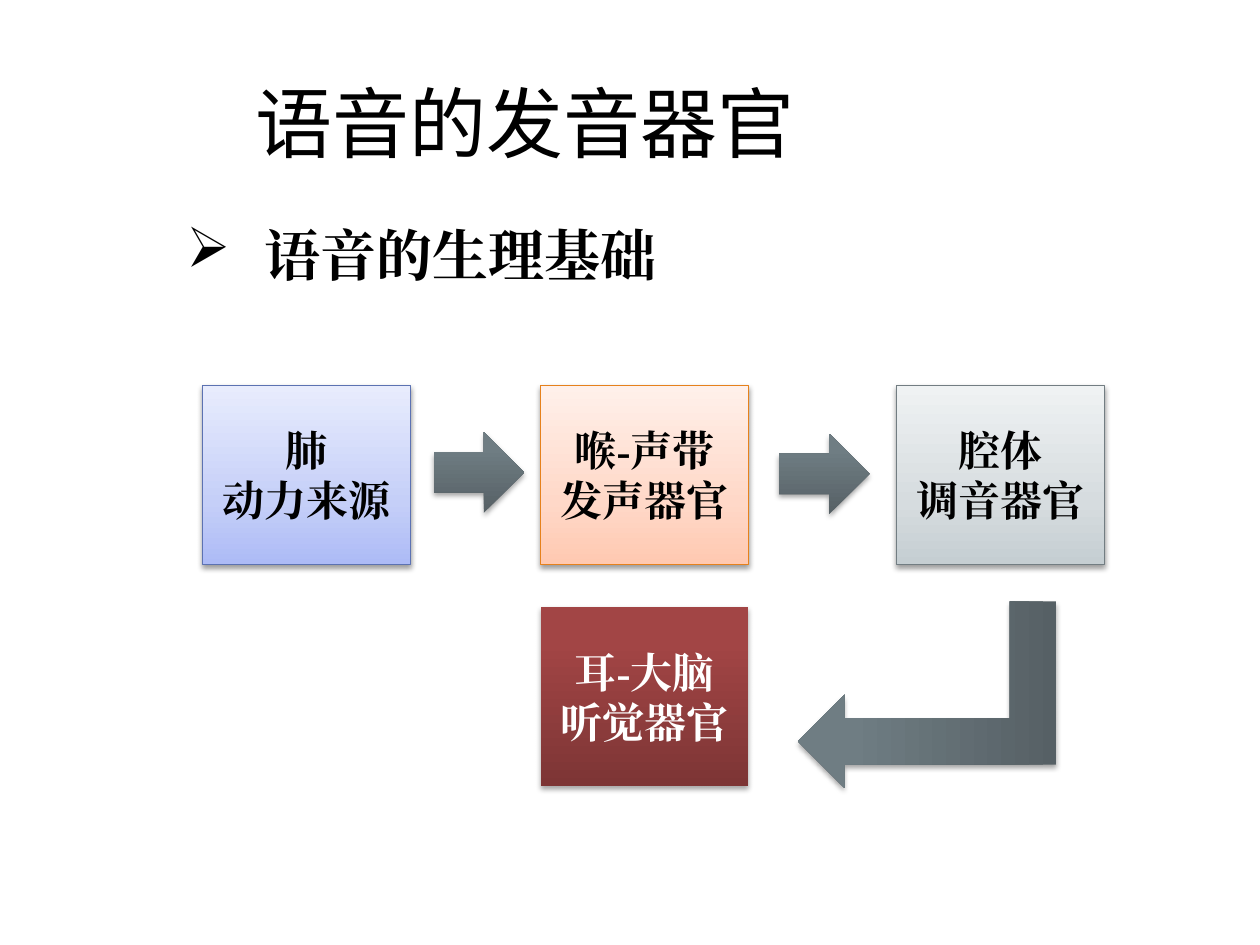
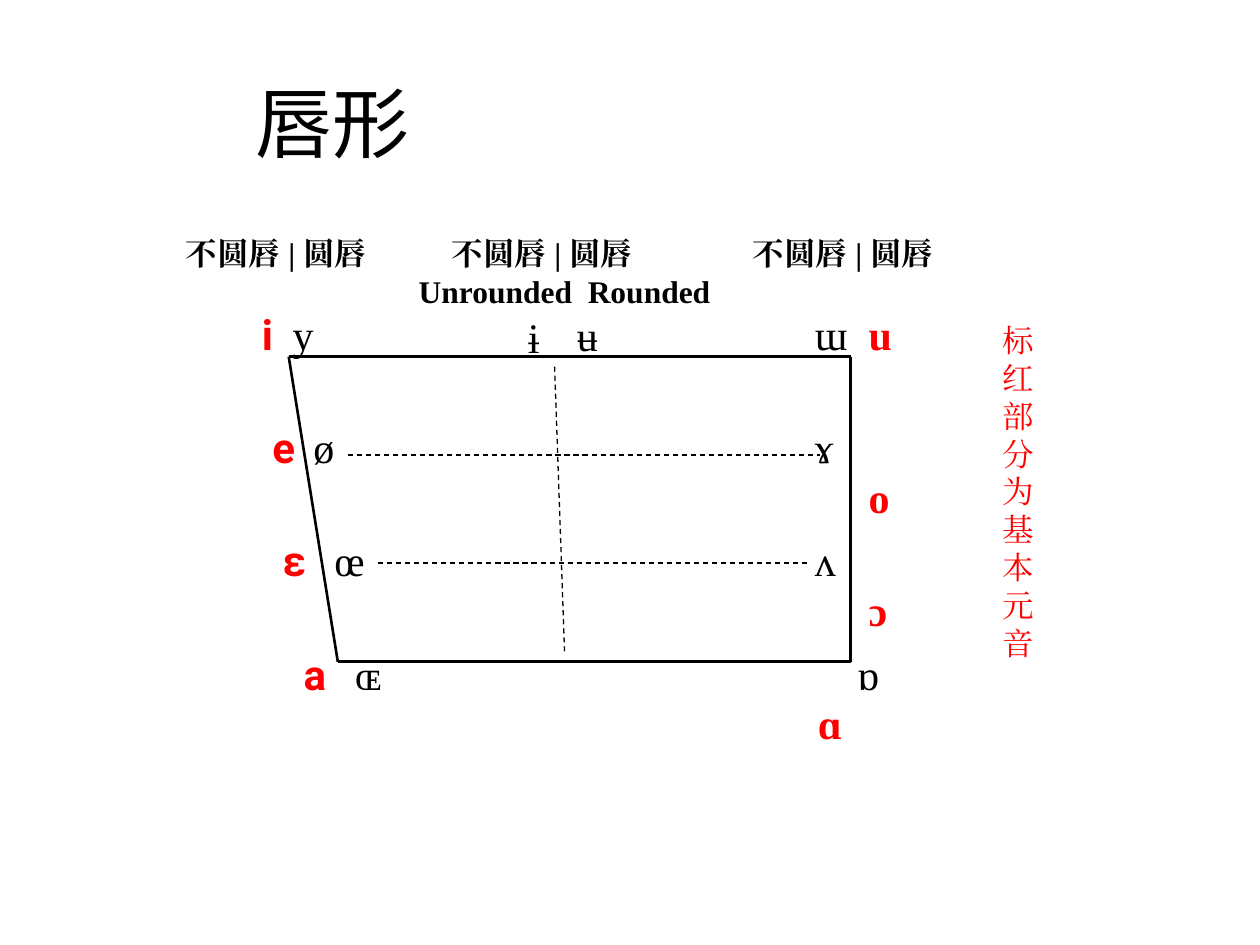
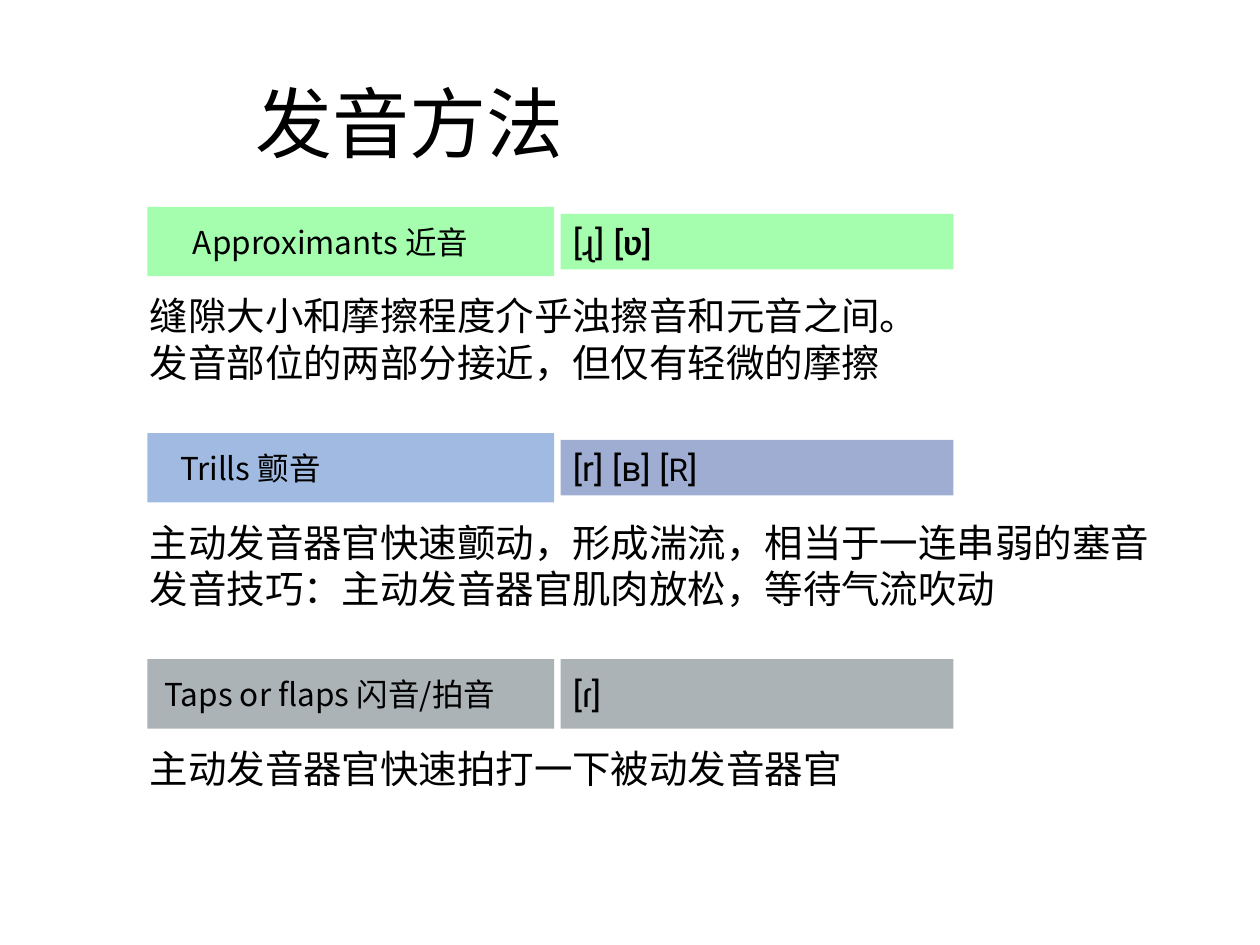
import pptx
import pptx.dml.color
import pptx.enum.dml
import pptx.enum.lang
import pptx.enum.shapes
import pptx.enum.text
import pptx.oxml
import pptx.oxml.ns
import pptx.util
from lxml import etree

Cm = pptx.util.Cm
Pt = pptx.util.Pt
Shape = pptx.enum.shapes.MSO_SHAPE
Anchor = pptx.enum.text.MSO_ANCHOR
Align = pptx.enum.text.PP_ALIGN

SERIF, SANS, CHINESE, BOLD_IPA = "Times New Roman", "Roboto", "Noto Sans CJK SC", "Lato"
BLACK, WHITE, RED = "000000", "FFFFFF", "FF0000"
BLUE_FADE = [(0, "ADBBF6"), (35, "C5CFF8"), (100, "E8ECFD")]
ORANGE_FADE = [(0, "FFC9B1"), (35, "FFD8C8"), (100, "FFF0EA")]
GREY_FADE = [(0, "C5CED2"), (35, "D6DCDF"), (100, "EFF2F3")]
RED_FADE = [(0, "7D3535"), (80, "A24545"), (100, "A44343")]
ARROW_FADE = [(0, "566065"), (80, "6F7D83"), (100, "6F7E84")]


def color(hex_value):
    return pptx.dml.color.RGBColor.from_string(hex_value)


def drawing_xml(xml):
    namespace = pptx.oxml.ns.nsdecls("a")
    return pptx.oxml.parse_xml(xml.replace(">", f" {namespace}>", 1))


def format_run(run, size, font, fill, bold):
    run.font.size = Pt(size)
    run.font.name = font
    run.font.bold = bold
    run.font.color.rgb = color(fill)
    run.font.language_id = pptx.enum.lang.MSO_LANGUAGE_ID.SIMPLIFIED_CHINESE
    east_asian = etree.SubElement(run.font._element, pptx.oxml.ns.qn("a:ea"))
    east_asian.set("typeface", font)


def write_text(shape, paragraphs, size=18, font=SERIF, fill=BLACK, bold=False,
               align=Align.LEFT, anchor=Anchor.TOP, spacing=None, bullet=None):
    frame = shape.text_frame
    frame.word_wrap = True
    frame.vertical_anchor = anchor
    for index, runs in enumerate(paragraphs):
        paragraph = frame.paragraphs[0] if index == 0 else frame.add_paragraph()
        paragraph.alignment = align
        if spacing:
            paragraph.line_spacing = Pt(spacing)
        if bullet:
            properties = paragraph._p.get_or_add_pPr()
            properties.set("marL", str(Cm(1.57)))
            properties.set("indent", str(-Cm(1.57)))
            properties.append(drawing_xml(f'<a:buChar char="{bullet}"></a:buChar>'))
        for part in [(runs, {})] if isinstance(runs, str) else runs:
            run = paragraph.add_run()
            run.text = part[0]
            base = {"size": size, "font": font, "fill": fill, "bold": bold}
            format_run(run, **{**base, **part[1]})


def add_text(slide, left, top, width, height, *paragraphs, **text_format):
    box = slide.shapes.add_textbox(Cm(left), Cm(top), Cm(width), Cm(height))
    write_text(box, paragraphs, **text_format)


def add_block(slide, kind, left, top, width, height, fill=None):
    shape = slide.shapes.add_shape(kind, Cm(left), Cm(top), Cm(width), Cm(height))
    shape.shadow.inherit = False
    shape.line.fill.background()
    if fill:
        shape.fill.solid()
        shape.fill.fore_color.rgb = color(fill)
    return shape


def add_faded_block(slide, kind, left, top, width, height, fade, outline=None):
    shape = add_block(slide, kind, left, top, width, height)
    stops = "".join(f'<a:gs pos="{position * 1000}"><a:srgbClr val="{value}"/></a:gs>'
                    for position, value in fade)
    gradient = drawing_xml(f'<a:gradFill rotWithShape="1"><a:gsLst>{stops}</a:gsLst>'
                           '<a:lin ang="16200000" scaled="0"/></a:gradFill>')
    properties = shape._element.spPr
    properties.find(pptx.oxml.ns.qn("a:prstGeom")).addnext(gradient)
    if outline:
        shape.line.color.rgb = color(outline)
        shape.line.width = Pt(0.75)
    alpha, distance = (38, 1.6) if outline else (35, 1.8)
    effects = properties.find(pptx.oxml.ns.qn("a:effectLst"))
    effects.append(drawing_xml(
        f'<a:outerShdw blurRad="{Pt(3.1)}" dist="{Pt(distance)}" dir="5400000" rotWithShape="0">'
        f'<a:srgbClr val="{BLACK}"><a:alpha val="{alpha * 1000}"/></a:srgbClr></a:outerShdw>'))
    return shape


def add_line(slide, start, end, dashed=False):
    line = slide.shapes.add_connector(pptx.enum.shapes.MSO_CONNECTOR.STRAIGHT,
                                      *map(Cm, start + end))
    line.line.color.rgb = color(BLACK)
    line.line.width = Pt(0.75 if dashed else 1.5)
    if dashed:
        line.line.dash_style = pptx.enum.dml.MSO_LINE.DASH
    line._element.spPr.append(drawing_xml("<a:effectLst></a:effectLst>"))


def add_slide(presentation, title):
    slide = presentation.slides.add_slide(presentation.slide_layouts[6])
    add_text(slide, 4.9, 1.12, 17.2, 2.39, title, size=44, font=CHINESE,
             anchor=Anchor.BOTTOM, spacing=58)
    return slide


def build_speech_organs(presentation):
    slide = add_slide(presentation, "语音的发音器官")
    add_text(slide, 3.51, 4.32, 19.81, 13, "语音的生理基础", size=32, bold=True, bullet="➢")
    organs = [
        (4.09, 7.77, BLUE_FADE, "5C72B2", BLACK, "肺", "动力来源"),
        (10.9, 7.77, ORANGE_FADE, "E6811C", BLACK, "喉-声带", "发声器官"),
        (18.08, 7.77, GREY_FADE, "727D82", BLACK, "腔体", "调音器官"),
        (10.9, 12.24, RED_FADE, None, WHITE, "耳-大脑", "听觉器官"),
    ]
    for left, top, fade, outline, text_fill, organ, role in organs:
        box = add_faded_block(slide, Shape.RECTANGLE, left, top, 4.19, 3.61, fade, outline)
        write_text(box, [organ, role], size=24, fill=text_fill, bold=True,
                   align=Align.CENTER, anchor=Anchor.MIDDLE)
    for left, top in [(8.74, 8.71), (15.7, 8.74)]:
        add_faded_block(slide, Shape.RIGHT_ARROW, left, top, 1.83, 1.63, ARROW_FADE)
    return_arrow = add_faded_block(slide, Shape.BENT_UP_ARROW, 16.81, 11.4, 3.76, 5.21, ARROW_FADE)
    return_arrow.rotation = 90
    return_arrow._element.spPr.xfrm.set("flipV", "1")


def build_lip_shapes(presentation):
    slide = add_slide(presentation, "唇形")
    row_tops = [6.1 + 2.28 * row for row in range(4)]
    low_tops = [row_tops[0]] + [9.38 + 2.28 * row for row in range(3)]
    black = {"size": 24}
    red = {"size": 24, "fill": RED, "bold": True}
    columns = [
        ("yøœɶ", [5.65, 6.07, 6.49, 6.91], row_tops, black),
        ("ɯɤʌɒ", [16.18, 16.18, 16.18, 17.03], row_tops, black),
        ("uoɔɑ", [17.26, 17.26, 17.26, 16.24], low_tops, red),
        ("ieɛa", [5.03, 5.24, 5.45, 5.87], row_tops, {**red, "font": SANS}),
        ("ɨʉ", [10.39, 11.38], [6.15, 6.12], black),
    ]
    for vowels, lefts, tops, text_format in columns:
        for vowel, left, top in zip(vowels, lefts, tops):
            add_text(slide, left, top, 1.6, 1.27, vowel, **text_format)

    corners = [(5.82, 7.19), (17.15, 7.19), (17.15, 13.34), (6.81, 13.34)]
    for start, end in zip(corners, corners[1:] + corners[:1]):
        add_line(slide, start, end)
    for start, end in [((7.01, 9.17), (16.54, 9.17)),
                       ((7.62, 11.35), (16.33, 11.35)),
                       ((11.18, 7.39), (11.38, 13.13))]:
        add_line(slide, start, end, dashed=True)

    for left in (3.5, 8.86, 14.93):
        add_text(slide, left, 4.6, 5, 1, "不圆唇 | 圆唇", bold=True)
    for left, label in [(8.19, "Unrounded"), (11.6, "Rounded")]:
        add_text(slide, left, 5.36, 4, 1, label, bold=True)
    add_text(slide, 19.96, 6.35, 1.55, 7.37, "标红部分为基本元音", fill=RED)


def build_manners(presentation):
    slide = add_slide(presentation, "发音方法")
    manners = [
        ("Approximants 近音", 3.64, "A4FEAD", "A4FEAD", 0.14,
         [("[ɻ] ", {}), ("[ʋ]", {"font": BOLD_IPA, "bold": True})],
         ["缝隙大小和摩擦程度介乎浊擦音和元音之间。", "发音部位的两部分接近，但仅有轻微的摩擦"]),
        ("Trills 颤音", 3.38, "A0BAE1", "A0ADD2", 0.14,
         [("[r] [ʙ] [", {}), ("R", {"size": 18}), ("]", {})],
         ["主动发音器官快速颤动，形成湍流，相当于一连串弱的塞音",
          "发音技巧：主动发音器官肌肉放松，等待气流吹动"]),
        ("Taps or flaps 闪音/拍音", 3.07, "ACB3B6", "ACB3B6", 0,
         [("[ɾ]", {})], ["主动发音器官快速拍打一下被动发音器官"]),
    ]
    for index, (name, name_left, name_fill, symbol_fill, inset, symbols, notes) in enumerate(manners):
        top = 4.17 + 4.56 * index
        add_block(slide, Shape.RECTANGLE, 2.97, top, 8.2, 1.4, name_fill)
        add_text(slide, name_left, top + 0.2, 8, 1.03, name, font=CHINESE)
        band = add_block(slide, Shape.RECTANGLE, 11.3, top + inset, 7.92, 1.4 - 2 * inset, symbol_fill)
        write_text(band, [symbols], size=20, font=SANS, anchor=Anchor.MIDDLE)
        add_text(slide, 2.77, top + 1.6, 22.6, 2.13, *notes, size=22, font=CHINESE)


def main():
    presentation = pptx.Presentation()
    presentation.slide_width = Cm(25.4)
    presentation.slide_height = Cm(19.05)
    build_speech_organs(presentation)
    build_lip_shapes(presentation)
    build_manners(presentation)
    presentation.save("out.pptx")


if __name__ == "__main__":
    main()
